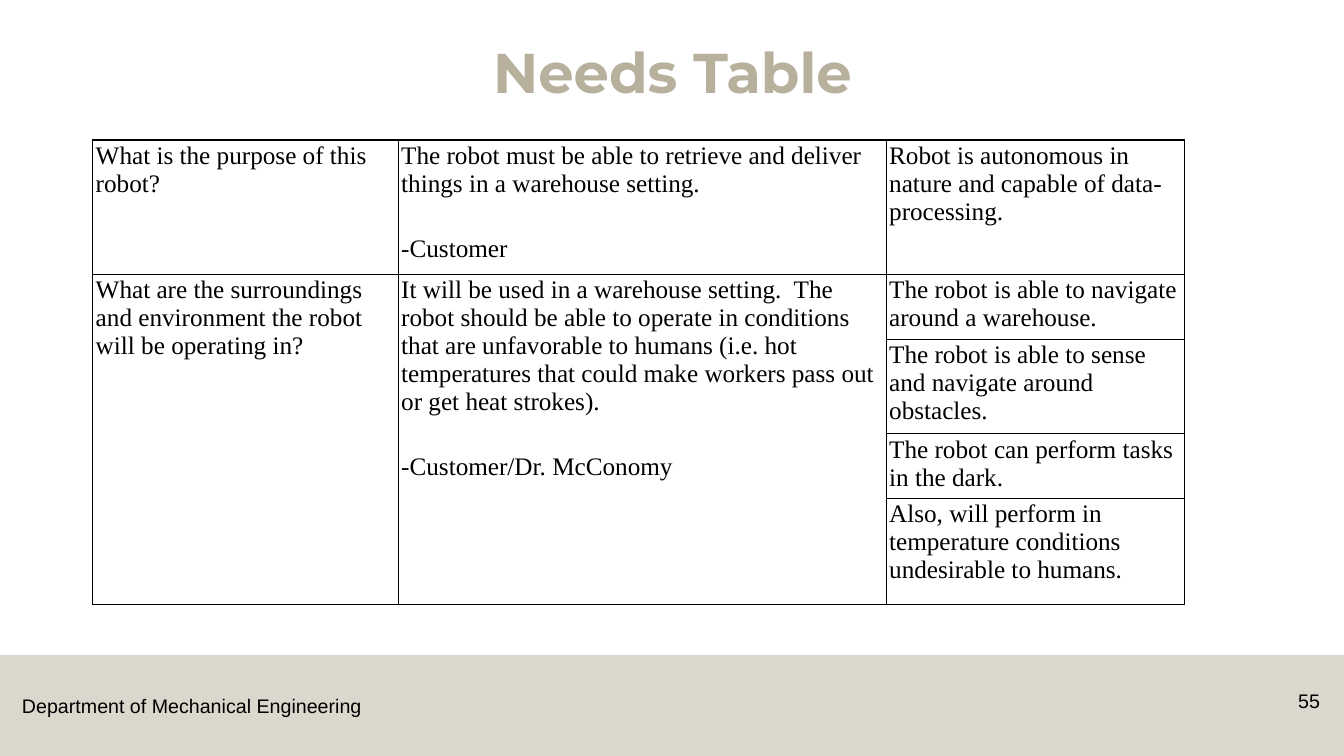
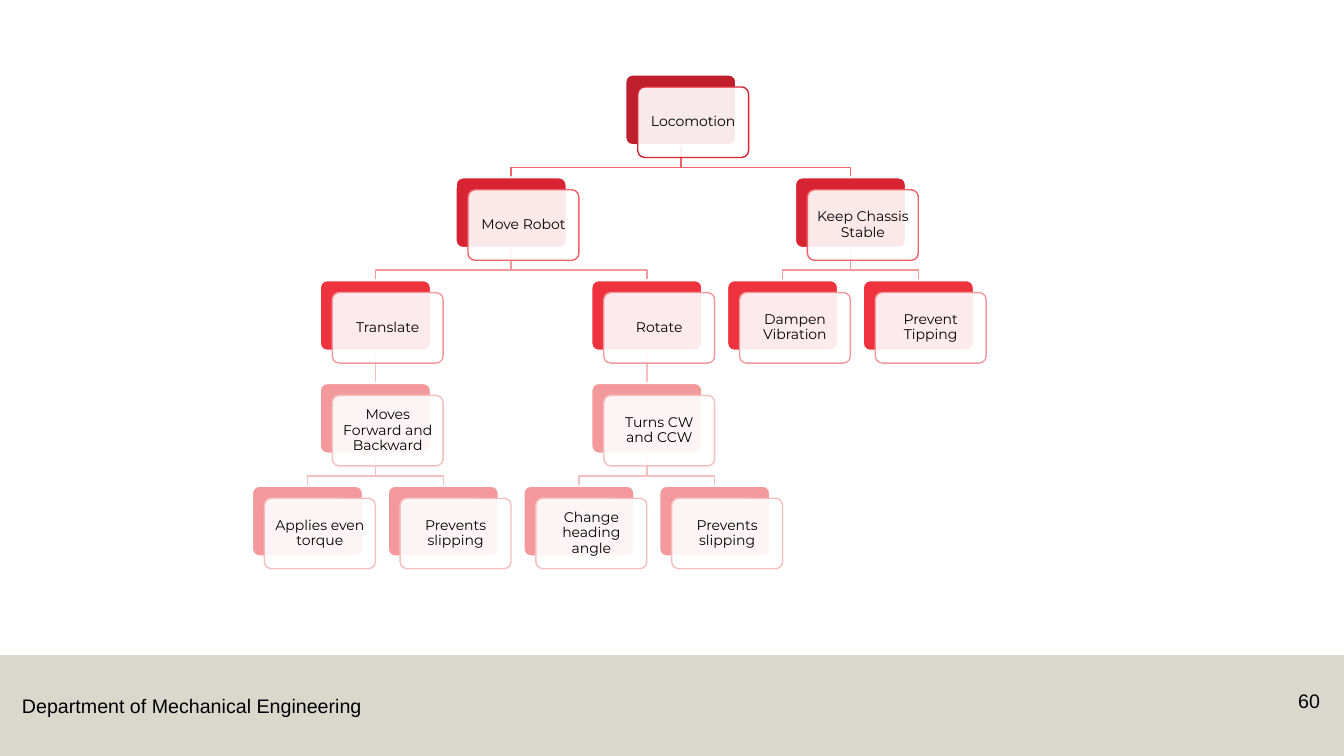
from lxml import etree
from pptx import Presentation
from pptx import util as u
from pptx.dml.color import RGBColor
from pptx.enum import shapes, text
from pptx.oxml import ns

WHITE = RGBColor(0xFF, 0xFF, 0xFF)
BLACK = RGBColor(0x00, 0x00, 0x00)
SAND = RGBColor(0xB7, 0xB0, 0x9C)
CRIMSON = RGBColor(0xBF, 0x1F, 0x2C)
RED = RGBColor(0xD8, 0x23, 0x32)
SCARLET = RGBColor(0xEE, 0x32, 0x3E)
CORAL = RGBColor(0xF0, 0x62, 0x68)
SALMON = RGBColor(0xF3, 0x99, 0x9B)
PINK = RGBColor(0xF7, 0xBE, 0xBF)

FOOTER = "Department of Mechanical Engineering"
LEVELS = [(CRIMSON, RED), (RED, CORAL), (SCARLET, SALMON), (SALMON, PINK), (SALMON, PINK)]

LEFT, CENTER, RIGHT = text.PP_ALIGN.LEFT, text.PP_ALIGN.CENTER, text.PP_ALIGN.RIGHT
STYLES = {
    "title": ({"name": "Montserrat", "size": u.Pt(40), "bold": True}, SAND,
              {"alignment": CENTER, "line_spacing": 0.9}),
    "footer": ({"name": "Arial", "size": u.Pt(14)}, BLACK, {"alignment": LEFT}),
    "number": ({"name": "Arial", "size": u.Pt(14)}, BLACK, {"alignment": RIGHT}),
    "cell": ({"name": "Times New Roman", "size": u.Pt(18)}, BLACK, {"alignment": LEFT}),
    "card": ({"name": "Montserrat", "size": u.Pt(10)}, BLACK,
             {"alignment": CENTER, "line_spacing": 0.9}),
}


def assign(target, values):
    for name, value in values.items():
        setattr(target, name, value)


class Sheet:
    card_width, card_height = 8.25, 9.33
    shift_x, shift_y = 0.92, 1.63
    first_column, column_step = 22.88, 5.05
    first_row, row_step = 9.87, 13.6

    def __init__(self):
        self.deck = Presentation()
        self.deck.slide_width = u.Inches(13.33)
        self.deck.slide_height = u.Inches(7.5)
        self.page = None

    def x(self, percent):
        return round(self.deck.slide_width * percent / 100)

    def y(self, percent):
        return round(self.deck.slide_height * percent / 100)

    def frame(self, left, top, width, height):
        return self.x(left), self.y(top), self.x(width), self.y(height)

    def new_page(self, number):
        self.page = self.deck.slides.add_slide(self.deck.slide_layouts[6])
        self.box(shapes.MSO_SHAPE.RECTANGLE, (0, 86.67, 100, 13.33), SAND, opacity=50)
        self.label((0.9, 91.07, 26.93, 4.53), FOOTER, "footer", wrap=False)
        self.label((93.17, 90.53, 5.78, 5.33), str(number), "number")

    def fill_text(self, frame, paragraphs, style, gap=0):
        font, color, layout = STYLES[style]
        for index, content in enumerate(paragraphs):
            para = frame.add_paragraph() if index else frame.paragraphs[0]
            assign(para, layout)
            if index:
                para.space_before = u.Pt(gap)
            span = para.add_run()
            span.text = content
            assign(span.font, font)
            span.font.color.rgb = color

    def label(self, place, content, style, wrap=True):
        box = self.page.shapes.add_textbox(*self.frame(*place))
        box.text_frame.word_wrap = wrap
        self.fill_text(box.text_frame, [content], style)

    def box(self, kind, place, fill, line=None, weight=1, opacity=100):
        box = self.page.shapes.add_shape(kind, *self.frame(*place))
        box.shadow.inherit = False
        box.fill.solid()
        box.fill.fore_color.rgb = fill
        if opacity < 100:
            color = box._element.spPr.find(ns.qn("a:solidFill")).find(ns.qn("a:srgbClr"))
            etree.SubElement(color, ns.qn("a:alpha"), val=str(opacity * 1000))
        if line is None:
            box.line.fill.background()
        else:
            box.line.width = u.Pt(weight)
            box.line.color.rgb = line
        return box

    def border(self, cell):
        properties = cell._tc.get_or_add_tcPr()
        for side in ("lnL", "lnR", "lnT", "lnB"):
            edge = etree.SubElement(properties, ns.qn("a:" + side), w=str(u.Pt(1)))
            fill = etree.SubElement(edge, ns.qn("a:solidFill"))
            etree.SubElement(fill, ns.qn("a:srgbClr"), val=str(BLACK))

    def table(self, left, top, widths, heights, rows, merges):
        place = self.frame(left, top, sum(widths), sum(heights))
        table = self.page.shapes.add_table(len(heights), len(widths), *place).table
        assign(table, {"first_row": False, "horz_banding": False})
        for column, width in zip(table.columns, widths):
            column.width = self.x(width)
        for row, height in zip(table.rows, heights):
            row.height = self.y(height)
        margins = {"margin_left": u.Inches(0.03), "margin_right": u.Inches(0.03),
                   "margin_top": u.Inches(0.02), "margin_bottom": u.Inches(0.02)}
        for row_index, row in enumerate(rows):
            for column_index, paragraphs in enumerate(row):
                cell = table.cell(row_index, column_index)
                assign(cell, margins)
                self.border(cell)
                cell.fill.background()
                if paragraphs:
                    self.fill_text(cell.text_frame, paragraphs, "cell", gap=26.5)
        for start, end in merges:
            table.cell(*start).merge(table.cell(*end))

    def column_of(self, node):
        place = node[1]
        if isinstance(place, list):
            return sum(map(self.column_of, place)) / len(place)
        return place

    def center(self, node):
        return self.first_column + self.column_step * self.column_of(node)

    def links(self, node, level=0):
        if not isinstance(node[1], list):
            return
        start_x = self.x(self.center(node))
        top = self.first_row + self.row_step * level
        start_y, end_y = self.y(top + self.card_height), self.y(top + self.row_step)
        bend_y = start_y + round((end_y - start_y) * 0.69)
        for child in node[1]:
            end_x = self.x(self.center(child))
            if len(node[1]) == 1:
                link = self.page.shapes.add_connector(
                    shapes.MSO_CONNECTOR.STRAIGHT, start_x, start_y, end_x, end_y)
                etree.SubElement(link._element.spPr, ns.qn("a:effectLst"))
            else:
                outline = self.page.shapes.build_freeform(start_x, start_y)
                outline.add_line_segments(
                    [(start_x, bend_y), (end_x, bend_y), (end_x, end_y)], close=False)
                link = outline.convert_to_shape()
                link.fill.background()
                link.shadow.inherit = False
            link.line.color.rgb = LEVELS[level + 1][1]
            link.line.width = u.Pt(1)
            self.links(child, level + 1)

    def cards(self, node, level=0):
        back, edge = LEVELS[level]
        left = self.center(node) - self.card_width / 2
        top = self.first_row + self.row_step * level
        size = self.card_width, self.card_height
        kind = shapes.MSO_SHAPE.ROUNDED_RECTANGLE
        rear = self.box(kind, (left, top, *size), back, WHITE, 1.5)
        front = self.box(kind, (left + self.shift_x, top + self.shift_y, *size),
                         WHITE, edge, opacity=90)
        for box in (rear, front):
            box.adjustments[0] = 0.1
        inset = u.Inches(0.04)
        assign(front.text_frame, {
            "word_wrap": True, "vertical_anchor": text.MSO_ANCHOR.MIDDLE,
            "margin_left": inset, "margin_right": inset,
            "margin_top": inset, "margin_bottom": inset})
        self.fill_text(front.text_frame, [node[0]], "card")
        if isinstance(node[1], list):
            for child in node[1]:
                self.cards(child, level + 1)


NEEDS = [
    [["What is the purpose of this robot?"],
     ["The robot must be able to retrieve and deliver things in a warehouse setting.",
      "-Customer"],
     ["Robot is autonomous in nature and capable of data-processing."]],
    [["What are the surroundings and environment the robot will be operating in?"],
     ["It will be used in a warehouse setting.  The robot should be able to operate in "
      "conditions that are unfavorable to humans (i.e. hot temperatures that could make "
      "workers pass out or get heat strokes).",
      "-Customer/Dr. McConomy"],
     ["The robot is able to navigate around a warehouse."]],
    [[], [], ["The robot is able to sense and navigate around obstacles."]],
    [[], [], ["The robot can perform tasks in the dark."]],
    [[], [], ["Also, will perform in temperature conditions undesirable to humans."]],
]

LOCOMOTION = ("Locomotion", [
    ("Move Robot", [
        ("Translate", [
            ("Moves Forward and Backward", [
                ("Applies even torque", 0), ("Prevents slipping", 2)])]),
        ("Rotate", [
            ("Turns CW and CCW", [
                ("Change heading angle", 4), ("Prevents slipping", 6)])])]),
    ("Keep Chassis Stable", [("Dampen Vibration", 7), ("Prevent Tipping", 9)])])


def main():
    sheet = Sheet()
    sheet.new_page(55)
    sheet.label((6.9, 5.33, 86.27, 19.33), "Needs Table", "title")
    sheet.table(6.9, 18.53, [22.73, 36.31, 22.21], [17.73, 8.6, 12.4, 8.5, 14],
                NEEDS, [((1, 0), (4, 0)), ((1, 1), (4, 1))])
    sheet.new_page(60)
    sheet.links(LOCOMOTION)
    sheet.cards(LOCOMOTION)
    sheet.deck.save("out.pptx")


if __name__ == "__main__":
    main()
